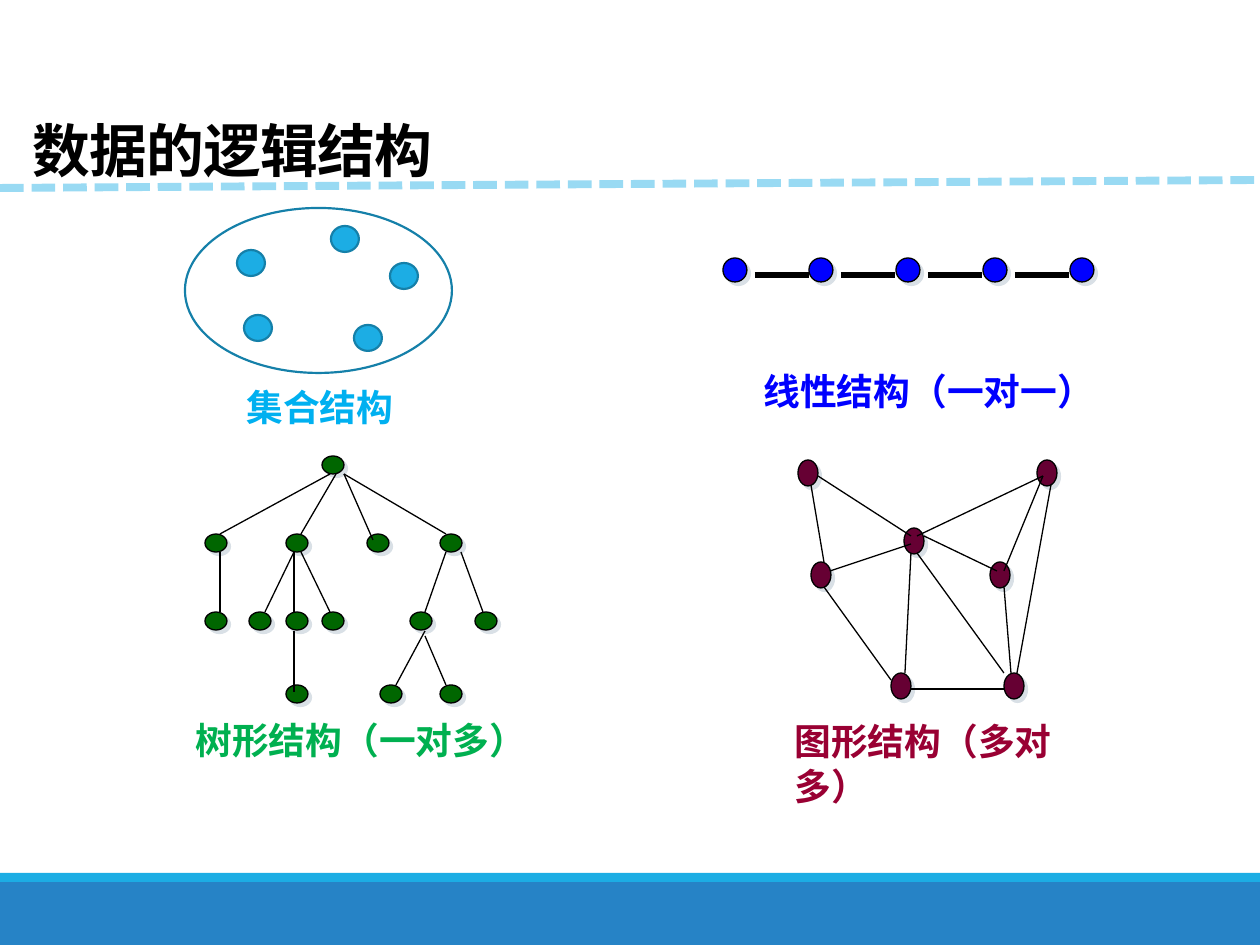
from lxml import etree
from pptx import Presentation
from pptx.dml.color import RGBColor
from pptx.enum.dml import MSO_LINE
from pptx.enum.shapes import MSO_CONNECTOR, MSO_SHAPE
from pptx.enum.text import MSO_ANCHOR, MSO_AUTO_SIZE
from pptx.oxml.ns import qn
from pptx.util import Pt

PX = 7257  # EMU per px, 126 px to the inch
FONT = "Noto Sans CJK SC"
rgb = RGBColor.from_string

prs = Presentation()
prs.slide_width, prs.slide_height = 1260 * PX, 945 * PX
s = prs.slides.add_slide(prs.slide_layouts[6])


def add_shape(kind, x, y, w, h, fill=None, line=None, weight=0.75, shadow=False):
    sp = s.shapes.add_shape(kind, x * PX, y * PX, w * PX, h * PX)
    sp.shadow.inherit = False
    if fill:
        sp.fill.solid()
        sp.fill.fore_color.rgb = rgb(fill)
    else:
        sp.fill.background()
    if line:
        sp.line.color.rgb = rgb(line)
        sp.line.width = Pt(weight)
    else:
        sp.line.fill.background()
    if shadow:
        effects = sp._element.spPr.find(qn("a:effectLst"))
        outer = etree.SubElement(effects, qn("a:outerShdw"), dist=str(Pt(2.8)),
                                 dir="2700000", algn="ctr", rotWithShape="0")
        etree.SubElement(outer, qn("a:srgbClr"), val="D9E0E6")


def add_text(text, x, y, w, h, color, size=21, wrap=False, title=False):
    tf = s.shapes.add_textbox(x * PX, y * PX, w * PX, h * PX).text_frame
    tf.word_wrap = wrap
    tf.auto_size = MSO_AUTO_SIZE.NONE if title else MSO_AUTO_SIZE.SHAPE_TO_FIT_TEXT
    p = tf.paragraphs[0]
    r = p.add_run()
    r.text = text
    r.font.name, r.font.size, r.font.bold = FONT, Pt(size), True
    r.font.color.rgb = rgb(color)
    rPr = r.font._element
    etree.SubElement(rPr, qn("a:ea"), typeface=FONT)
    if title:
        tf.vertical_anchor = MSO_ANCHOR.BOTTOM
        p.line_spacing = 0.85
        rPr.set("spc", "-40")


# Footer bars
add_shape(MSO_SHAPE.RECTANGLE, 0, 882, 1260, 63, "2683C6")
add_shape(MSO_SHAPE.RECTANGLE, 0, 873, 1260, 9, "1CADE4")

# Nodes of the linear, tree and graph structures
chain_xs = [723 + i * 347 // 4 for i in range(5)]
chain_nodes = [(x, 258) for x in chain_xs]
tree_rows = {
    456: [322],
    534: [205, 286, 367, 440],
    612: [205, 249, 286, 322, 410, 475],
    685: [286, 380, 440],
}
tree_nodes = [(x, y) for y, xs in tree_rows.items() for x in xs]
graph_nodes = [(798, 460), (1037, 460), (811, 562), (891, 673),
               (1004, 673), (904, 528), (990, 562)]
for nodes, w, h, fill in [(chain_nodes, 24, 24, "0000FF"),
                          (tree_nodes, 22, 18, "006600"),
                          (graph_nodes, 20, 26, "660033")]:
    for x, y in nodes:
        add_shape(MSO_SHAPE.OVAL, x, y, w, h, fill, "000000", shadow=True)

# Set structure: an outline around loose elements
add_shape(MSO_SHAPE.OVAL, 185, 208, 267, 165, line="1580A9", weight=1.25)
for x, y in [(237, 250), (244, 315), (331, 226), (354, 325), (390, 263)]:
    add_shape(MSO_SHAPE.OVAL, x, y, 28, 26, "1CADE4", "1580A9", 1.25)

# Edges
chain_edges = [(x + 32, 275, x + 86, 275) for x in chain_xs[:-1]]
tree_edges = [
    (330, 474, 220, 534), (336, 474, 301, 534), (344, 474, 373, 540),
    (344, 474, 446, 534), (220, 552, 220, 612), (294, 552, 265, 612),
    (301, 552, 330, 612), (446, 552, 425, 612), (461, 552, 483, 612),
    (294, 552, 294, 612), (294, 631, 294, 692), (425, 631, 396, 685),
    (425, 636, 446, 685),
]
graph_edges = [
    (811, 485, 824, 562), (824, 587, 891, 680), (911, 689, 1004, 689),
    (1051, 485, 1017, 673), (830, 571, 911, 544), (911, 553, 905, 673),
    (917, 553, 1004, 673), (1043, 476, 1004, 571), (924, 536, 997, 571),
    (1004, 586, 1011, 673), (917, 536, 1043, 476), (818, 476, 911, 536),
]
title_rule = [(0, 188, 1260, 180)]
for edges, color, weight, dash in [
    (chain_edges, "000000", 3, None),
    (tree_edges + graph_edges, "000000", 0.75, None),
    (title_rule, "99DAF3", 4.5, MSO_LINE.SQUARE_DOT),
]:
    for edge in edges:
        cn = s.shapes.add_connector(MSO_CONNECTOR.STRAIGHT, *(v * PX for v in edge))
        cn.line.color.rgb = rgb(color)
        cn.line.width = Pt(weight)
        if dash:
            cn.line.dash_style = dash
        etree.SubElement(cn._element.spPr, qn("a:effectLst"))

# Title and captions
add_text("数据的逻辑结构", 20, 118, 863, 72, "000000", size=33, wrap=True, title=True)
add_text("集合结构", 234, 379, 175, 57, "00B0F0")
add_text("线性结构（一对一）", 751, 363, 362, 57, "0000FF")
add_text("树形结构（一对多）", 183, 712, 362, 57, "00B050")
add_text("图形结构（多对多）", 782, 713, 323, 57, "990033", wrap=True)

prs.save("out.pptx")
